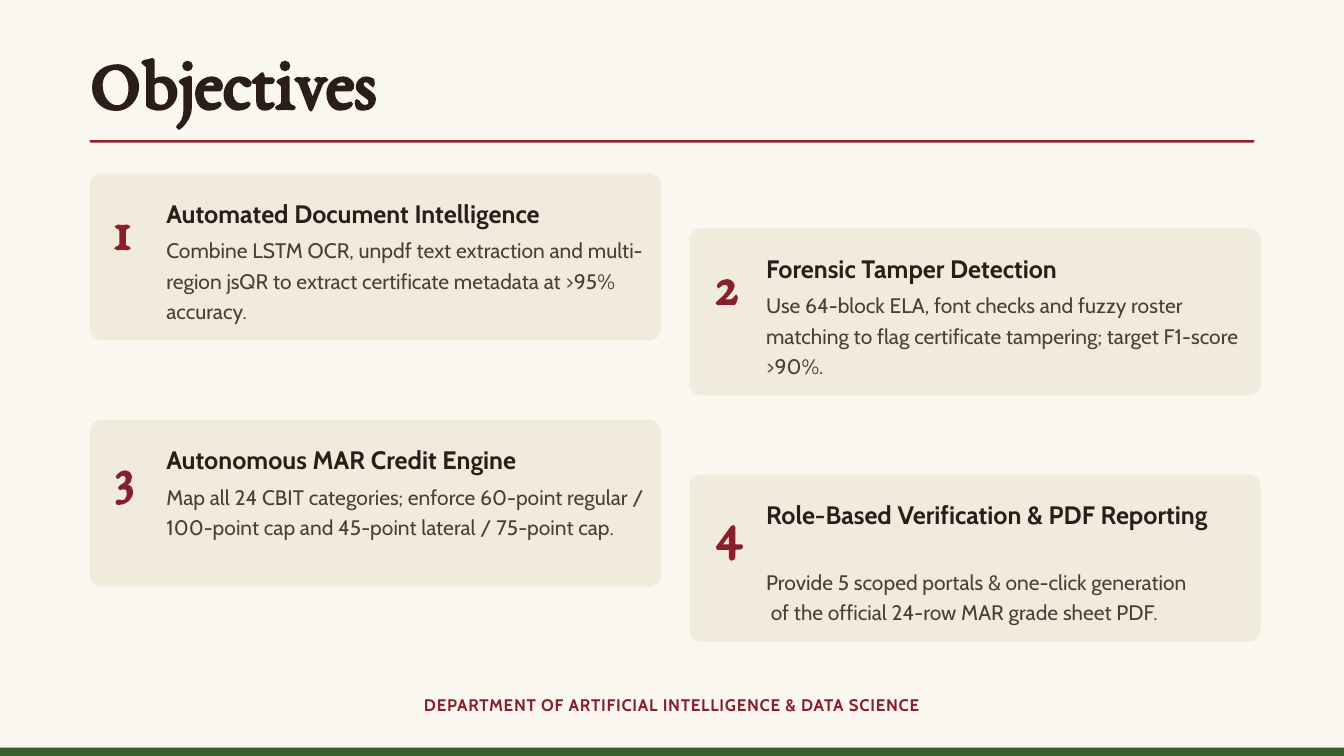
from dataclasses import dataclass

from pptx import Presentation
from pptx.dml.color import RGBColor
from pptx.enum.shapes import MSO_SHAPE
from pptx.enum.text import MSO_ANCHOR, MSO_AUTO_SIZE, PP_ALIGN
from pptx.util import Inches, Pt

COLUMNS, ROWS = 240, 135
COLORS = {
    "paper": "FAF7F0", "card": "F1EBDD", "accent": "8A1F2C",
    "ink": "2B1D1A", "body": "4A3F38", "bar": "3A5F2E",
}
SERIF, SANS = "EB Garamond", "Cabin"


@dataclass
class TextStyle:
    font: str
    size: float
    leading: float
    color: str
    bold: bool = True
    spacing: int = 0
    align: PP_ALIGN = PP_ALIGN.LEFT


TITLE = TextStyle(SERIF, 78, 81.9, "ink")
NUMBER = TextStyle(SERIF, 60, 60, "accent")
HEADING = TextStyle(SANS, 27, 32.4, "ink")
BODY = TextStyle(SANS, 22.5, 32.6, "body", bold=False)
FOOTER = TextStyle(SANS, 18, 25.2, "accent", spacing=80, align=PP_ALIGN.CENTER)

CARD_LEFT, CARD_TOP, CARD_WIDTH, CARD_HEIGHT = 16, 31, 102, 29.8
COLUMN_STEP, ROW_STEP, STAGGER = 107.1, 43.95, 9.8

# heading, body lines, row of the body inside the card
OBJECTIVES = [
    ("Automated Document Intelligence",
     ["Combine LSTM OCR, unpdf text extraction and multi-region jsQR "
      "to extract certificate metadata at >95% accuracy."], 10.55),
    ("Forensic Tamper Detection",
     ["Use 64-block ELA, font checks and fuzzy roster matching to flag "
      "certificate tampering; target F1-score >90%."], 10.55),
    ("Autonomous MAR Credit Engine",
     ["Map all 24 CBIT categories; enforce 60-point regular / "
      "100-point cap and 45-point lateral / 75-point cap."], 10.55),
    ("Role-Based Verification & PDF Reporting",
     ["Provide 5 scoped portals & one-click generation",
      " of the official 24-row MAR grade sheet PDF."], 15.95),
]


def rgb(name):
    return RGBColor.from_string(COLORS[name])


class SlideBuilder:
    """Draws on one slide; all lengths are grid columns and rows."""

    def __init__(self, deck):
        self.column = deck.slide_width / COLUMNS
        self.row = deck.slide_height / ROWS
        self.slide = deck.slides.add_slide(deck.slide_layouts[5])
        self.slide.background.fill.solid()
        self.slide.background.fill.fore_color.rgb = rgb("paper")

    def area(self, left, top, width, height):
        return (round(left * self.column), round(top * self.row),
                round(width * self.column), round(height * self.row))

    def block(self, area, color, corner=None):
        kind = MSO_SHAPE.RECTANGLE if corner is None else MSO_SHAPE.ROUNDED_RECTANGLE
        shape = self.slide.shapes.add_shape(kind, *self.area(*area))
        if corner is not None:
            shape.adjustments[0] = corner
        shape.shadow.inherit = False
        shape.fill.solid()
        shape.fill.fore_color.rgb = rgb(color)
        shape.line.fill.background()

    def title(self, area, words):
        box = self.slide.shapes.title
        box.left, box.top, box.width, box.height = self.area(*area)
        self.fill_frame(box.text_frame, [words], TITLE)

    def text(self, area, lines, style):
        box = self.slide.shapes.add_textbox(*self.area(*area))
        self.fill_frame(box.text_frame, lines, style)

    def fill_frame(self, frame, lines, style):
        frame.word_wrap = True
        frame.auto_size = MSO_AUTO_SIZE.NONE
        frame.vertical_anchor = MSO_ANCHOR.TOP
        frame.margin_left = frame.margin_right = 0
        frame.margin_top = frame.margin_bottom = 0
        for index, line in enumerate(lines):
            para = frame.add_paragraph() if index else frame.paragraphs[0]
            para.alignment = style.align
            para.line_spacing = Pt(style.leading)
            span = para.add_run()
            span.text = line
            span.font.name = style.font
            span.font.size = Pt(style.size)
            span.font.bold = style.bold
            span.font.color.rgb = rgb(style.color)
            if style.spacing:
                span.font._element.set("spc", str(style.spacing))

    def card(self, index, heading, lines, body_row):
        row, column = divmod(index, 2)
        left = CARD_LEFT + column * COLUMN_STEP
        top = CARD_TOP + row * ROW_STEP + column * STAGGER
        self.block((left, top, CARD_WIDTH, CARD_HEIGHT), "card", corner=0.07)
        self.text((left + 4.5, top + 5.5, 6.1, 10.9), [str(index + 1)], NUMBER)
        self.text((left + 13.7, top + 4.35, 86.4, 5.5), [heading], HEADING)
        self.text((left + 13.7, top + body_row, 86.4, 15.7), lines, BODY)


def main():
    deck = Presentation()
    deck.slide_width, deck.slide_height = Inches(20), Inches(11.25)
    page = SlideBuilder(deck)
    page.block((0, 133.5, COLUMNS, 1.5), "bar")
    page.title((16, 8.4, 214.2, 12.6), "Objectives")
    page.block((16, 25, 208, 0.45), "accent", corner=0.5)
    for index, objective in enumerate(OBJECTIVES):
        page.card(index, *objective)
    page.text((58.2, 123.4, 123.6, 5.2),
              ["DEPARTMENT OF ARTIFICIAL INTELLIGENCE & DATA SCIENCE"], FOOTER)
    deck.save("out.pptx")


if __name__ == "__main__":
    main()
